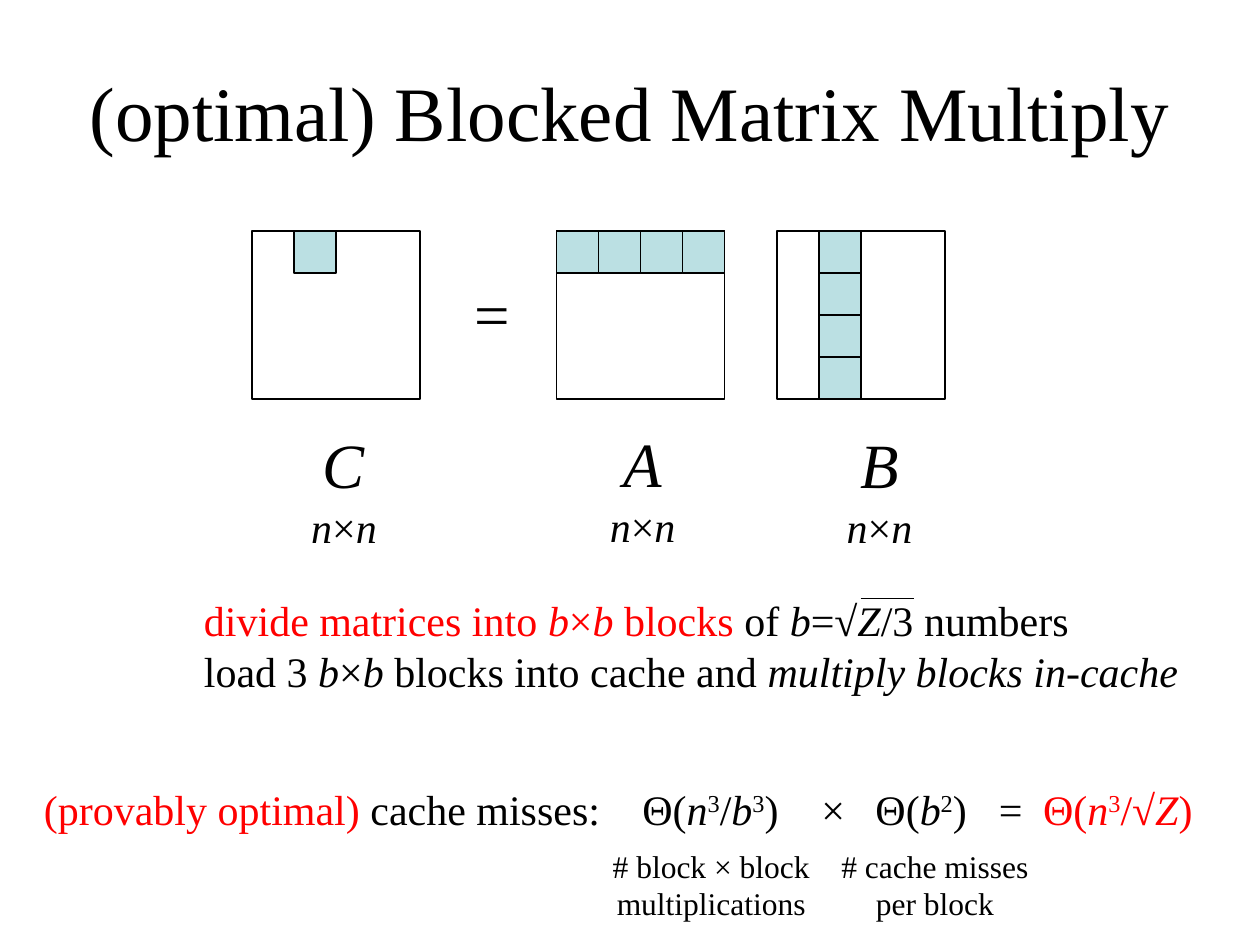
from dataclasses import dataclass, replace
from typing import Optional

from lxml.etree import SubElement
from pptx import Presentation
from pptx.dml.color import RGBColor
from pptx.enum.shapes import MSO_CONNECTOR, MSO_SHAPE
from pptx.enum.text import MSO_ANCHOR, PP_ALIGN
from pptx.oxml.ns import qn
from pptx.util import Inches, Pt


@dataclass(frozen=True)
class Theme:
    font: str = "Times New Roman"
    ink: RGBColor = RGBColor(0, 0, 0)
    accent: RGBColor = RGBColor(255, 0, 0)
    block: RGBColor = RGBColor(0xBB, 0xE0, 0xE3)
    title: int = 44
    symbol: int = 36
    body: int = 24
    note: int = 18
    line: float = 0.75


@dataclass(frozen=True)
class Span:
    text: str
    italic: bool = False
    raised: bool = False
    accent: bool = False
    size: int = 24


@dataclass(frozen=True)
class Matrix:
    name: str
    column: float
    blocks: tuple[tuple[int, int], ...]
    label: tuple[float, float, float, float]


@dataclass(frozen=True)
class Note:
    lines: tuple[str, ...]
    left: float
    width: float


THEME = Theme()
CELL = 1 / 3
MATRIX_CELLS = 4
MATRIX_ROW = 5.5

deck = Presentation()
deck.slide_width, deck.slide_height = Inches(10), Inches(7.5)
page = deck.slides.add_slide(deck.slide_layouts[6])


def plain(text: str, size: int = THEME.body) -> Span:
    return Span(text, size=size)


def italic(text: str, size: int = THEME.body) -> Span:
    return Span(text, italic=True, size=size)


def raised(text: str) -> Span:
    return Span(text, raised=True)


def accented(*spans: Span) -> list[Span]:
    return [replace(span, accent=True) for span in spans]


def add_text(lines: list[list[Span]], left: float, top: float, width: float, height: float, *,
             align: PP_ALIGN = PP_ALIGN.CENTER, anchor: MSO_ANCHOR = MSO_ANCHOR.TOP,
             indent: float = 0, tabs: tuple[float, ...] = ()) -> None:
    box = page.shapes.add_textbox(Inches(left), Inches(top), Inches(width), Inches(height))
    frame = box.text_frame
    frame.word_wrap = align == PP_ALIGN.LEFT
    frame.vertical_anchor = anchor
    for index, spans in enumerate(lines):
        para = frame.add_paragraph() if index else frame.paragraphs[0]
        para.alignment = align
        properties = para._p.get_or_add_pPr()
        if indent:
            properties.set("marL", str(Inches(indent)))
        if tabs:
            stops = SubElement(properties, qn("a:tabLst"))
            for position in tabs:
                SubElement(stops, qn("a:tab"), pos=str(Inches(position)), algn="l")
        for span in spans:
            run = para.add_run()
            run.text = span.text
            run.font.name = THEME.font
            run.font.size = Pt(span.size)
            run.font.italic = span.italic
            run.font.color.rgb = THEME.accent if span.accent else THEME.ink
            if span.raised:
                run._r.get_or_add_rPr().set("baseline", "30000")


def add_square(column: float, row: float, cells: int, fill: Optional[RGBColor] = None) -> None:
    side = Inches(cells * CELL)
    square = page.shapes.add_shape(MSO_SHAPE.RECTANGLE, Inches(column * CELL),
                                   Inches(row * CELL), side, side)
    square.shadow.inherit = False
    if fill is None:
        square.fill.background()
    else:
        square.fill.solid()
        square.fill.fore_color.rgb = fill
    square.line.color.rgb = THEME.ink
    square.line.width = Pt(THEME.line)


def add_matrix(matrix: Matrix) -> None:
    for column, row in matrix.blocks:
        add_square(matrix.column + column, MATRIX_ROW + row, 1, THEME.block)
    add_square(matrix.column, MATRIX_ROW, MATRIX_CELLS)
    add_text([[italic(matrix.name, THEME.symbol)], [italic("n"), plain("×"), italic("n")]],
             *matrix.label)


def add_rule(left: float, right: float, top: float) -> None:
    rule = page.shapes.add_connector(MSO_CONNECTOR.STRAIGHT, Inches(left), Inches(top),
                                     Inches(right), Inches(top))
    rule.line.color.rgb = THEME.ink
    rule.line.width = Pt(THEME.line)
    SubElement(rule._element.spPr, qn("a:effectLst"))


MATRICES = (
    Matrix("C", 6, ((1, 0),), (2.35, 3.33, 0.76, 1.11)),
    Matrix("A", 13.25, tuple((step, 0) for step in range(MATRIX_CELLS)), (4.69, 3.32, 0.82, 1.11)),
    Matrix("B", 18.5, tuple((1, step) for step in range(MATRIX_CELLS)), (6.57, 3.33, 0.82, 1.11)),
)
NOTES = (
    Note(("# block × block", "multiplications"), 4.75, 1.79),
    Note(("# cache misses", "per block"), 6.57, 1.7),
)
BLOCK_SIZE = (italic("b"), plain("×"), italic("b"))

add_text([[plain("(optimal) Blocked Matrix Multiply", THEME.title)]], 0.25, 0.25, 9.5, 1.25,
         anchor=MSO_ANCHOR.MIDDLE)
add_text([[plain("=", THEME.symbol)]], 3.67, 2.13, 0.48, 0.7)
for matrix in MATRICES:
    add_matrix(matrix)

add_text([
    [*accented(plain("divide matrices into "), *BLOCK_SIZE, plain(" blocks ")),
     plain("of "), italic("b"), plain("=√"), italic("Z"), plain("/3 numbers")],
    [plain("load 3 "), *BLOCK_SIZE, plain(" blocks into cache and "),
     italic("multiply blocks in-cache")],
], 0.52, 4.67, 9.09, 1.31, align=PP_ALIGN.LEFT, indent=1)
add_rule(6.83, 7.25, 4.75)

add_text([[
    *accented(plain("(provably optimal) ")),
    plain("cache misses:\tΘ("), italic("n"), raised("3"), plain("/"), italic("b"), raised("3"),
    plain(")\t×\tΘ("), italic("b"), raised("2"), plain(")\t=\t"),
    *accented(plain("Θ("), italic("n"), raised("3"), plain("/√"), italic("Z"), plain(")")),
]], 0.25, 6.17, 9.5, 0.5, align=PP_ALIGN.LEFT, tabs=(4.75, 6.17, 6.6, 7.58, 7.93))
for note in NOTES:
    add_text([[plain(line, THEME.note)] for line in note.lines], note.left, 6.67, note.width, 0.71)

deck.save("out.pptx")
